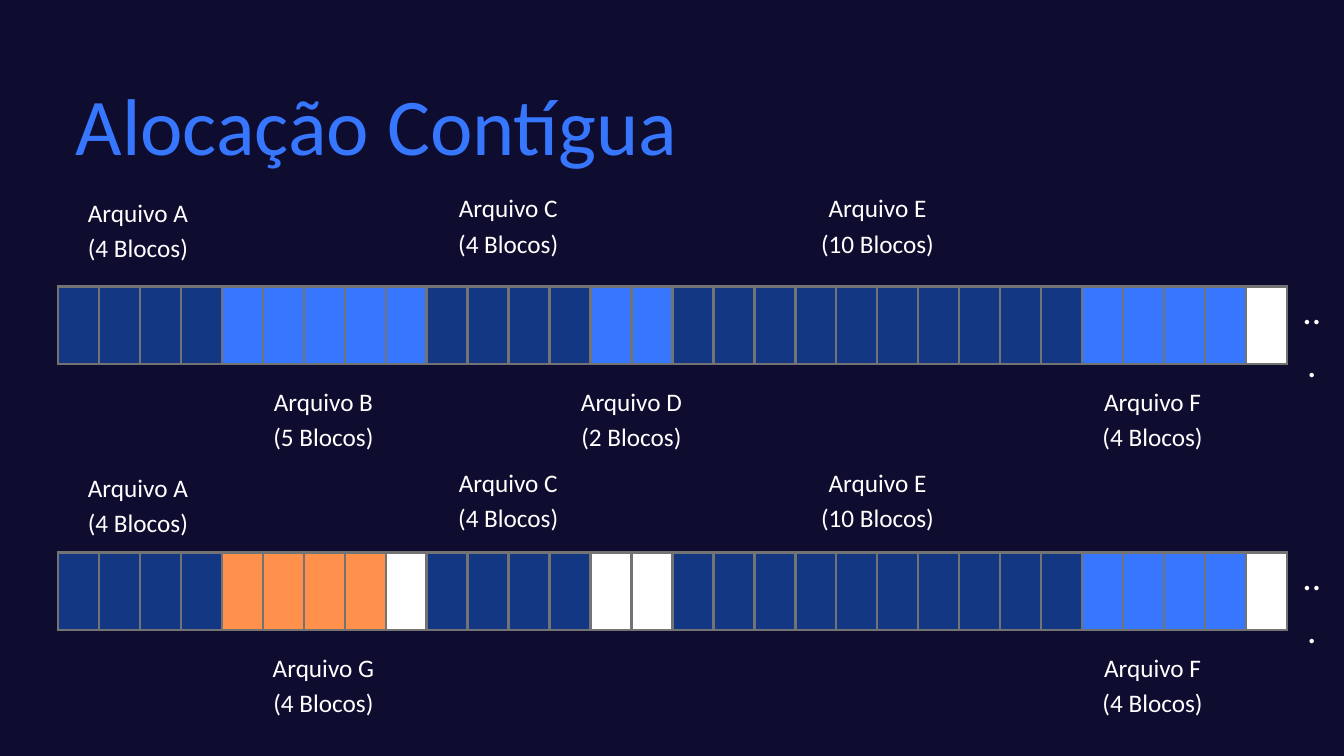
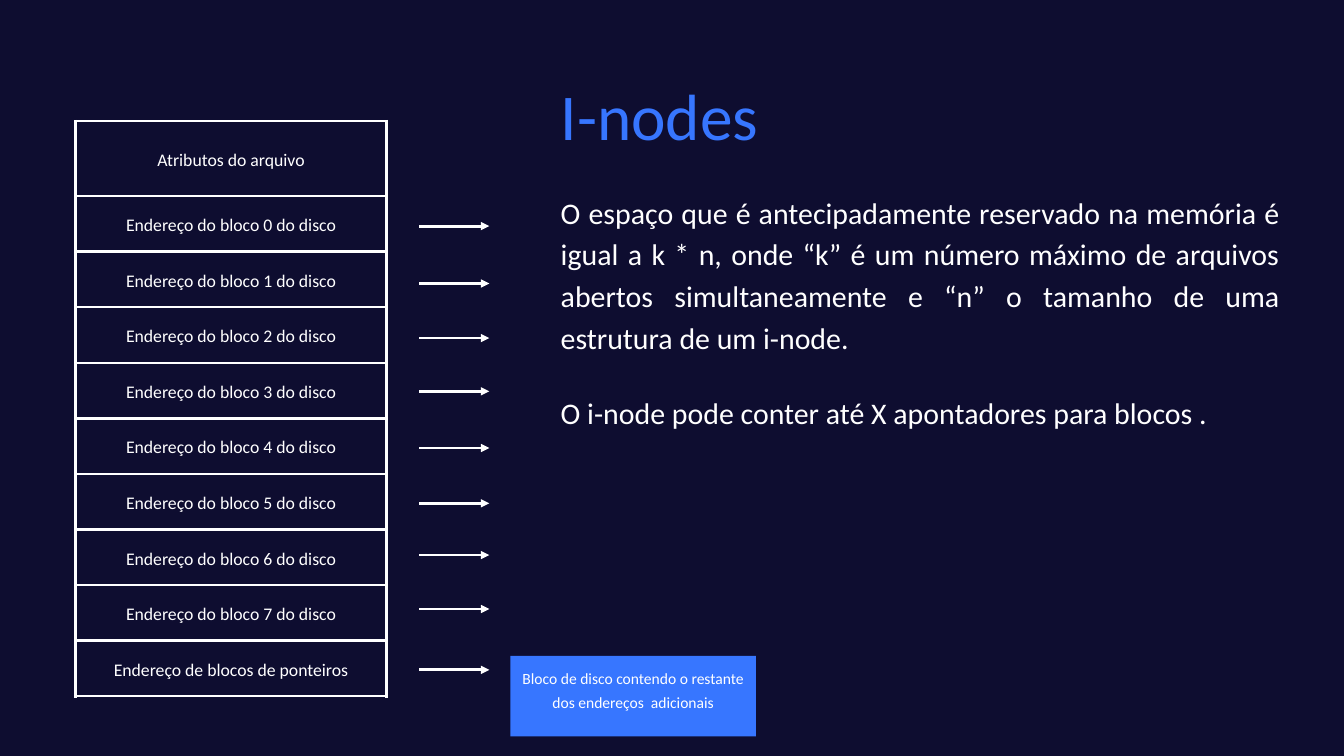
from dataclasses import dataclass
from typing import Any

from lxml.etree import SubElement
from pptx import Presentation
from pptx.dml.color import RGBColor
from pptx.enum.shapes import MSO_CONNECTOR, MSO_SHAPE
from pptx.enum.text import MSO_ANCHOR, MSO_AUTO_SIZE, PP_ALIGN
from pptx.oxml.ns import qn
from pptx.util import Emu, Pt

PX = 9525
NIGHT = RGBColor(0x0E, 0x0D, 0x30)
NAVY = RGBColor(0x14, 0x37, 0x84)
BLUE = RGBColor(0x37, 0x76, 0xFF)
ORANGE = RGBColor(0xFF, 0x91, 0x4D)
WHITE = RGBColor(0xFF, 0xFF, 0xFF)
GRAY = RGBColor(0x73, 0x73, 0x73)
FONT = "Calibri"
MARGINS = ("margin_left", "margin_top", "margin_right", "margin_bottom")


@dataclass(frozen=True)
class TextStyle:
    size: float
    spacing: float
    align: PP_ALIGN = PP_ALIGN.CENTER
    color: RGBColor = WHITE


@dataclass(frozen=True)
class Box:
    x: int
    y: int
    w: int
    h: int

    def emu(self) -> list[Emu]:
        return [px(v) for v in (self.x, self.y, self.w, self.h)]


@dataclass(frozen=True)
class Extent:
    blocks: int
    color: RGBColor
    name: str = ""
    label_y: int = 0
    label_w: int = 160
    nudge: int = 0


@dataclass(frozen=True)
class Disk:
    y: int
    extents: list[Extent]


DISK_TITLE = TextStyle(86.2, 103.5, PP_ALIGN.LEFT, BLUE)
INODE_TITLE = TextStyle(70, 84, PP_ALIGN.LEFT, BLUE)
LABEL = TextStyle(27, 37.8)
DOTS = TextStyle(40, 56)
BODY = TextStyle(32, 44.8, PP_ALIGN.JUSTIFY)
ENTRY = TextStyle(19, 26.6)
NOTE = TextStyle(16.7, 25.1)

DISK_X, DISK_W, DISK_H = 83, 1756, 111
DISKS = [
    Disk(409, [
        Extent(4, NAVY, "A", 275, nudge=-3),
        Extent(5, BLUE, "B", 544, nudge=-1),
        Extent(4, NAVY, "C", 268, nudge=-1),
        Extent(2, BLUE, "D", 544, 242),
        Extent(10, NAVY, "E", 268, 181),
        Extent(4, BLUE, "F", 544, 239, -17),
        Extent(1, WHITE),
    ]),
    Disk(789, [
        Extent(4, NAVY, "A", 667, nudge=-3),
        Extent(4, ORANGE, "G", 924, nudge=28),
        Extent(1, WHITE),
        Extent(4, NAVY, "C", 660, nudge=-1),
        Extent(2, WHITE),
        Extent(10, NAVY, "E", 660, 181),
        Extent(4, BLUE, "F", 924, 239, -17),
        Extent(1, WHITE),
    ]),
]

INODE = Box(108, 173, 444, 822)
HEADER_H = 107
ENTRIES = [
    "Atributos do arquivo",
    *(f"Endereço do bloco {n} do disco" for n in range(8)),
    "Endereço de blocos de ponteiros",
]
ARROW_X1, ARROW_X2 = 599, 699
ARROW_YS = [323, 405, 483, 559, 640, 719, 793, 870, 957]
PARAGRAPHS = [
    (Box(801, 269, 1028, 233),
     "O espaço que é antecipadamente reservado na memória é igual a k * n, "
     "onde “k” é um número máximo de arquivos abertos simultaneamente e “n” "
     "o tamanho de uma estrutura de um i-node."),
    (Box(801, 555, 1028, 57),
     "O i-node pode conter até X apontadores para blocos ."),
]


def px(value: float) -> Emu:
    return Emu(round(value * PX))


def apply(target: Any, fmt: dict[str, Any]) -> None:
    for name, value in fmt.items():
        setattr(target, name, value)


def write(tf: Any, lines: list[str], style: TextStyle) -> None:
    for i, line in enumerate(lines):
        p = tf.add_paragraph() if i else tf.paragraphs[0]
        apply(p, {"alignment": style.align, "line_spacing": Pt(style.spacing)})
        r = p.add_run()
        r.text = line
        apply(r.font, {"name": FONT, "size": Pt(style.size)})
        r.font.color.rgb = style.color


def add_text(s: Any, box: Box, lines: list[str], style: TextStyle) -> None:
    tf = s.shapes.add_textbox(*box.emu()).text_frame
    apply(tf, {"word_wrap": True, "auto_size": MSO_AUTO_SIZE.SHAPE_TO_FIT_TEXT,
               **dict.fromkeys(MARGINS, 0)})
    write(tf, lines, style)


def add_slide(prs: Any, title: str, box: Box, style: TextStyle) -> Any:
    s = prs.slides.add_slide(prs.slide_layouts[6])
    s.background.fill.solid()
    s.background.fill.fore_color.rgb = NIGHT
    add_text(s, box, [title], style)
    return s


def add_grid(s: Any, rows: int, cols: int, box: Box, border: RGBColor) -> Any:
    table = s.shapes.add_table(rows, cols, *box.emu()).table
    apply(table, {"first_row": False, "horz_banding": False})
    for cell in table.iter_cells():
        tc_pr = cell._tc.get_or_add_tcPr()
        for side in ("lnL", "lnR", "lnT", "lnB"):
            ln = SubElement(tc_pr, qn(f"a:{side}"), w=str(Pt(3)))
            fill = SubElement(ln, qn("a:solidFill"))
            SubElement(fill, qn("a:srgbClr"), val=str(border))
        cell.fill.background()
    return table


def add_disk(s: Any, disk: Disk) -> None:
    colors = [e.color for e in disk.extents for _ in range(e.blocks)]
    block_w = DISK_W / len(colors)
    table = add_grid(s, 1, len(colors), Box(DISK_X, disk.y, DISK_W, DISK_H), GRAY)
    for column, cell, color in zip(table.columns, table.iter_cells(), colors):
        column.width = px(block_w)
        cell.fill.solid()
        cell.fill.fore_color.rgb = color
    start = 0
    for e in disk.extents:
        if e.name:
            center = DISK_X + (start + e.blocks / 2) * block_w + e.nudge
            box = Box(round(center - e.label_w / 2), e.label_y, e.label_w, 98)
            add_text(s, box, [f"Arquivo {e.name}", f"({e.blocks} Blocos)"], LABEL)
        start += e.blocks
    add_text(s, Box(1856, disk.y - 9, 36, 71), ["..."], DOTS)


def add_inode(s: Any) -> None:
    table = add_grid(s, len(ENTRIES), 1, INODE, WHITE)
    entry_h = (INODE.h - HEADER_H) / (len(ENTRIES) - 1)
    for i, (row, entry) in enumerate(zip(table.rows, ENTRIES)):
        row.height = px(entry_h if i else HEADER_H)
        cell = row.cells[0]
        apply(cell, {"vertical_anchor": MSO_ANCHOR.MIDDLE,
                     **dict.fromkeys(MARGINS, px(20))})
        write(cell.text_frame, [entry], ENTRY)


def add_arrow(s: Any, y: int) -> None:
    c = s.shapes.add_connector(
        MSO_CONNECTOR.STRAIGHT, px(ARROW_X1), px(y), px(ARROW_X2), px(y))
    c.line.width = Pt(3)
    c.line.color.rgb = WHITE
    SubElement(c.line._get_or_add_ln(), qn("a:tailEnd"), type="triangle")
    SubElement(c._element.spPr, qn("a:effectLst"))


def add_note(s: Any, box: Box, text: str) -> None:
    sp = s.shapes.add_shape(MSO_SHAPE.RECTANGLE, *box.emu())
    sp.shadow.inherit = False
    sp.fill.solid()
    sp.fill.fore_color.rgb = BLUE
    sp.line.fill.background()
    apply(sp.text_frame, {"word_wrap": True, "vertical_anchor": MSO_ANCHOR.MIDDLE,
                          **dict.fromkeys(MARGINS, px(6)),
                          "margin_bottom": px(30)})
    write(sp.text_frame, [text], NOTE)


def main() -> None:
    prs = Presentation()
    apply(prs, {"slide_width": px(1920), "slide_height": px(1080)})

    s = add_slide(prs, "Alocação Contígua", Box(108, 107, 1135, 139), DISK_TITLE)
    for disk in DISKS:
        add_disk(s, disk)

    s = add_slide(prs, "I-nodes", Box(801, 108, 1059, 111), INODE_TITLE)
    add_inode(s)
    for y in ARROW_YS:
        add_arrow(s, y)
    add_note(s, Box(729, 937, 351, 115),
             "Bloco de disco contendo o restante dos endereços  adicionais")
    for box, text in PARAGRAPHS:
        add_text(s, box, [text], BODY)

    prs.save("out.pptx")


if __name__ == "__main__":
    main()
